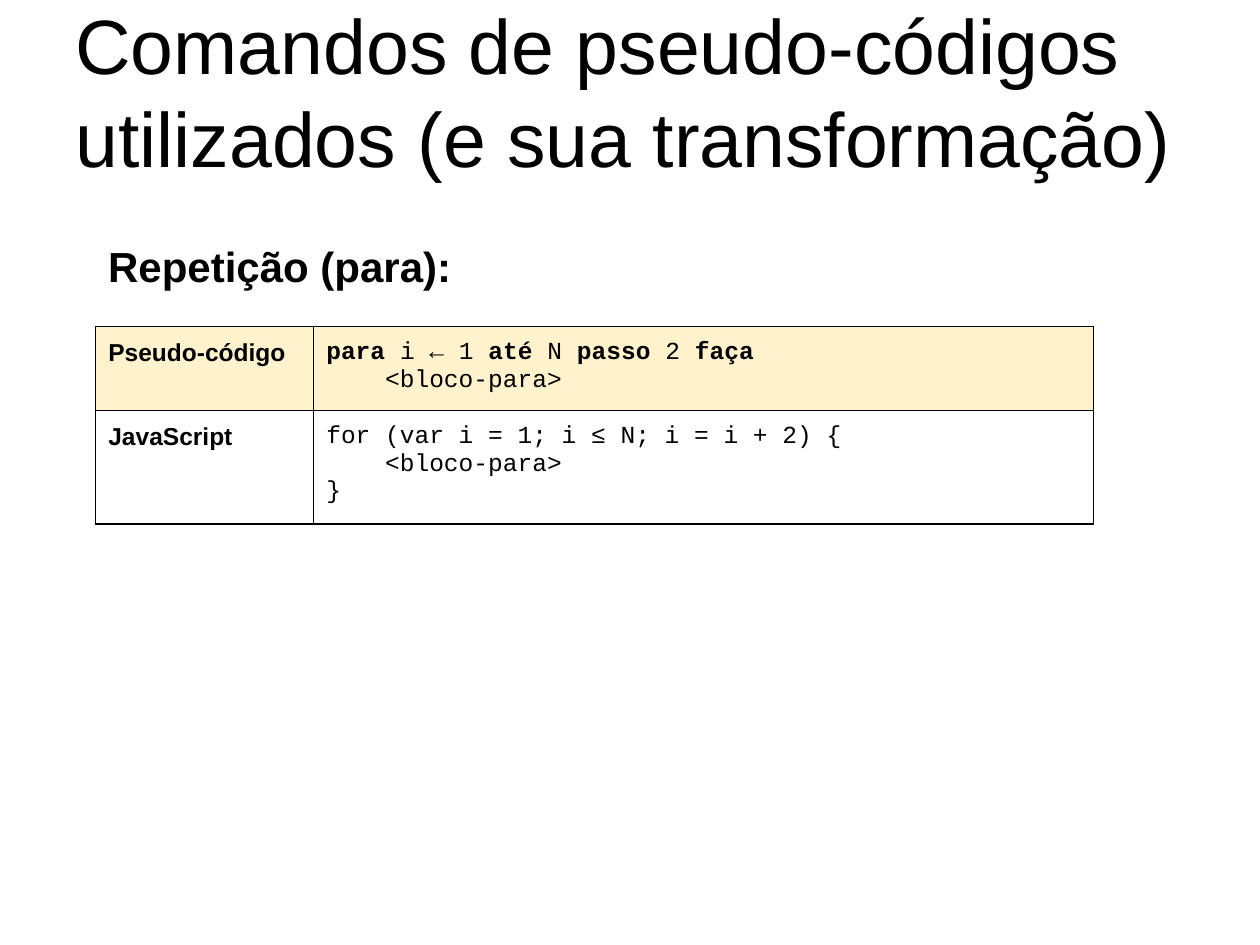
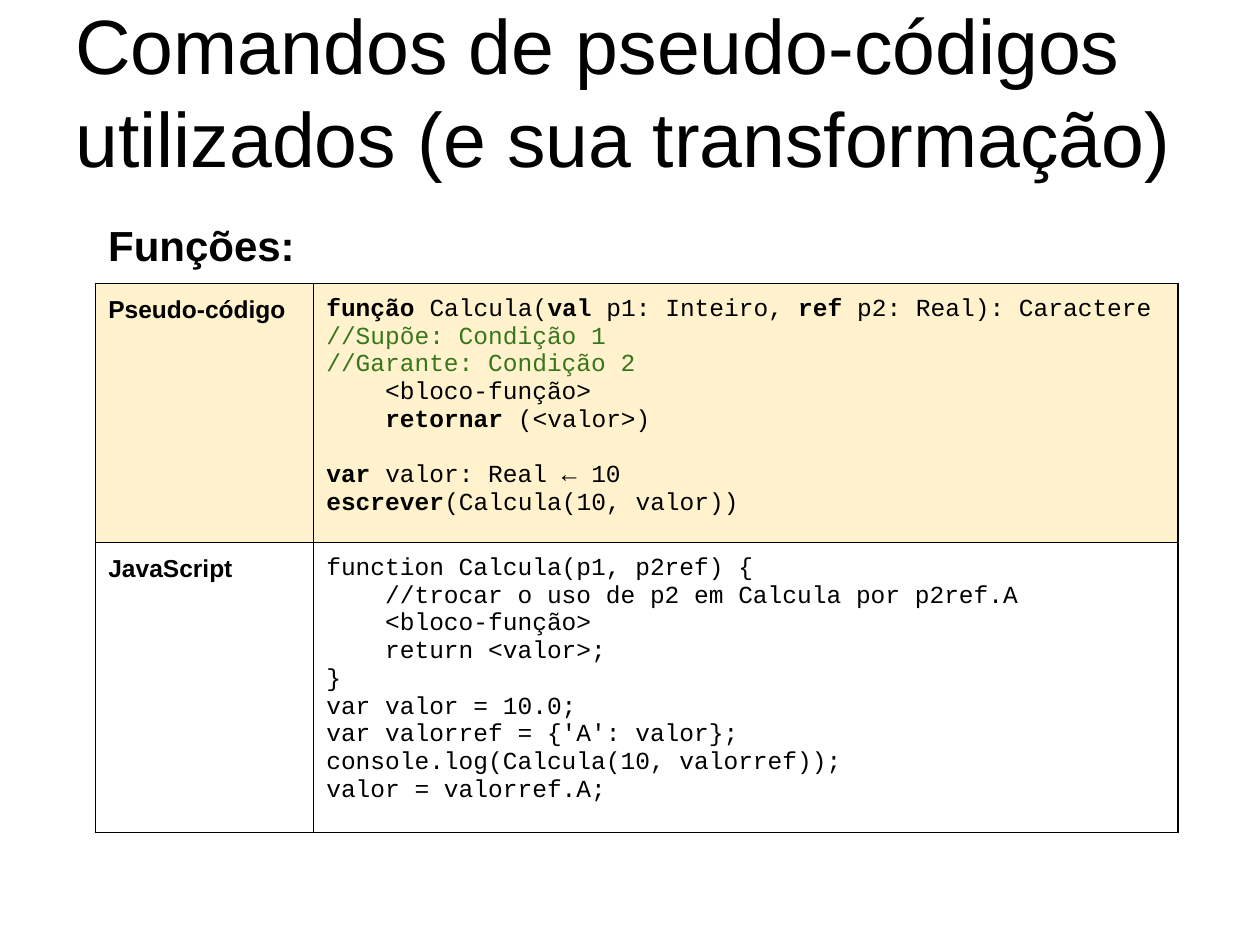
from lxml.etree import SubElement as Sub
from pptx import Presentation
from pptx.dml.color import RGBColor as Rgb
from pptx.enum.text import MSO_ANCHOR as Anchor
from pptx.oxml.ns import qn
from pptx.util import Inches, Pt

# Grid: 100 columns by 75 rows
deck = Presentation()
deck.slide_width, deck.slide_height = Inches(10), Inches(7.5)
COL, ROW = deck.slide_width / 100, deck.slide_height / 75
LEFT, LABEL = 7.6, 17.3
PAD, LINE = 1, 2.2

# Shared look
HUES = {"ink": "000000", "cream": "FFF2CC", "note": "38761D"}
TITLE = {"name": "Arial", "size": Pt(44), "bold": False}
HEAD = {"name": "Arial", "size": Pt(24), "bold": True}
TAG = {"name": "Arial", "size": Pt(14), "bold": True}
CODE = {"name": "Courier New", "size": Pt(14), "bold": False}
INSET = {"margin_" + side: Inches(0.1) for side in ("left", "right", "top", "bottom")}
FRAME = {"word_wrap": True, **INSET}
HEADING = "Comandos de pseudo-códigos utilizados (e sua transformação)"

# Asterisks enclose bold words; an empty line becomes space before the next
pages = [
    {"head": "Repetição (para):", "top": 17.5, "table": 25.9, "wide": 61.9,
     "rows": {
         "Pseudo-código": """\
*para *i ← 1 *até* N *passo* 2 *faça*
    <bloco-para>""",
         "JavaScript": """\
for (var i = 1; i ≤ N; i = i + 2) {
    <bloco-para>
}"""}},
    {"head": "Funções:", "top": 15.8, "table": 22.5, "wide": 68.6,
     "rows": {
         "Pseudo-código": """\
*função *Calcula(*val* p1: Inteiro, *ref *p2: Real): Caractere
//Supõe: Condição 1
//Garante: Condição 2
    <bloco-função>
    *retornar *(<valor>)

*var* valor: Real ← 10
*escrever*(Calcula(10, valor))""",
         "JavaScript": """\
function Calcula(p1, p2ref) {
    //trocar o uso de p2 em Calcula por p2ref.A
    <bloco-função>
    return <valor>;
}
var valor = 10.0;
var valorref = {'A': valor};
console.log(Calcula(10, valorref));
valor = valorref.A;"""}},
]


def write(frame, text, style):
    para, gap = frame.paragraphs[0], 0
    for num, line in enumerate(text.split("\n")):
        if not line:
            gap = 15.9
            continue
        if num:
            para = frame.add_paragraph()
        if gap:
            para.space_before, gap = Pt(gap), 0
        hue = "note" if line.startswith("//") else "ink"
        for odd, part in enumerate(line.split("*")):
            if part:
                run = para.add_run()
                run.text = part
                for key, value in style.items():
                    setattr(run.font, key, value)
                run.font.bold = style["bold"] or odd % 2 == 1
                run.font.color.rgb = Rgb.from_string(HUES[hue])


def add_box(slide, area, text, style):
    x, y, wide, high = area
    box = slide.shapes.add_textbox(int(x * COL), int(y * ROW), int(wide * COL), int(high * ROW))
    for key, value in FRAME.items():
        setattr(box.text_frame, key, value)
    write(box.text_frame, text, style)
    return box.text_frame


for page in pages:
    slide = deck.slides.add_slide(deck.slide_layouts[6])

    # Heading and title
    head = add_box(slide, (LEFT, page["top"], 79.2, 54.3), page["head"], HEAD)
    head.paragraphs[0].line_spacing = 1.15
    title = add_box(slide, (5, 3, 90, 12.5), HEADING, TITLE)
    title.vertical_anchor = Anchor.BOTTOM

    # Code table, each row as tall as its lines
    rows = page["rows"]
    highs = [2 * PAD + LINE * len(code.split("\n")) for code in rows.values()]
    table = slide.shapes.add_table(
        len(rows), 2, int(LEFT * COL), int(page["table"] * ROW),
        int((LABEL + page["wide"]) * COL), int(sum(highs) * ROW)).table
    table.first_row = table.horz_banding = False
    for col, wide in zip(table.columns, (LABEL, page["wide"])):
        col.width = int(wide * COL)
    for num, (row, high, pair) in enumerate(zip(table.rows, highs, rows.items())):
        row.height = int(high * ROW)
        for cell, text, style in zip(row.cells, pair, (TAG, CODE)):
            for key, value in INSET.items():
                setattr(cell, key, value)
            write(cell.text_frame, text, style)
            # Borders come before the fill
            props = cell._tc.get_or_add_tcPr()
            for edge in "LRTB":
                rule = Sub(props, qn("a:ln" + edge), w=str(Pt(0.75)))
                Sub(Sub(rule, qn("a:solidFill")), qn("a:srgbClr"), val=HUES["ink"])
            if num == 0:
                cell.fill.solid()
                cell.fill.fore_color.rgb = Rgb.from_string(HUES["cream"])
            else:
                cell.fill.background()

deck.save("out.pptx")
